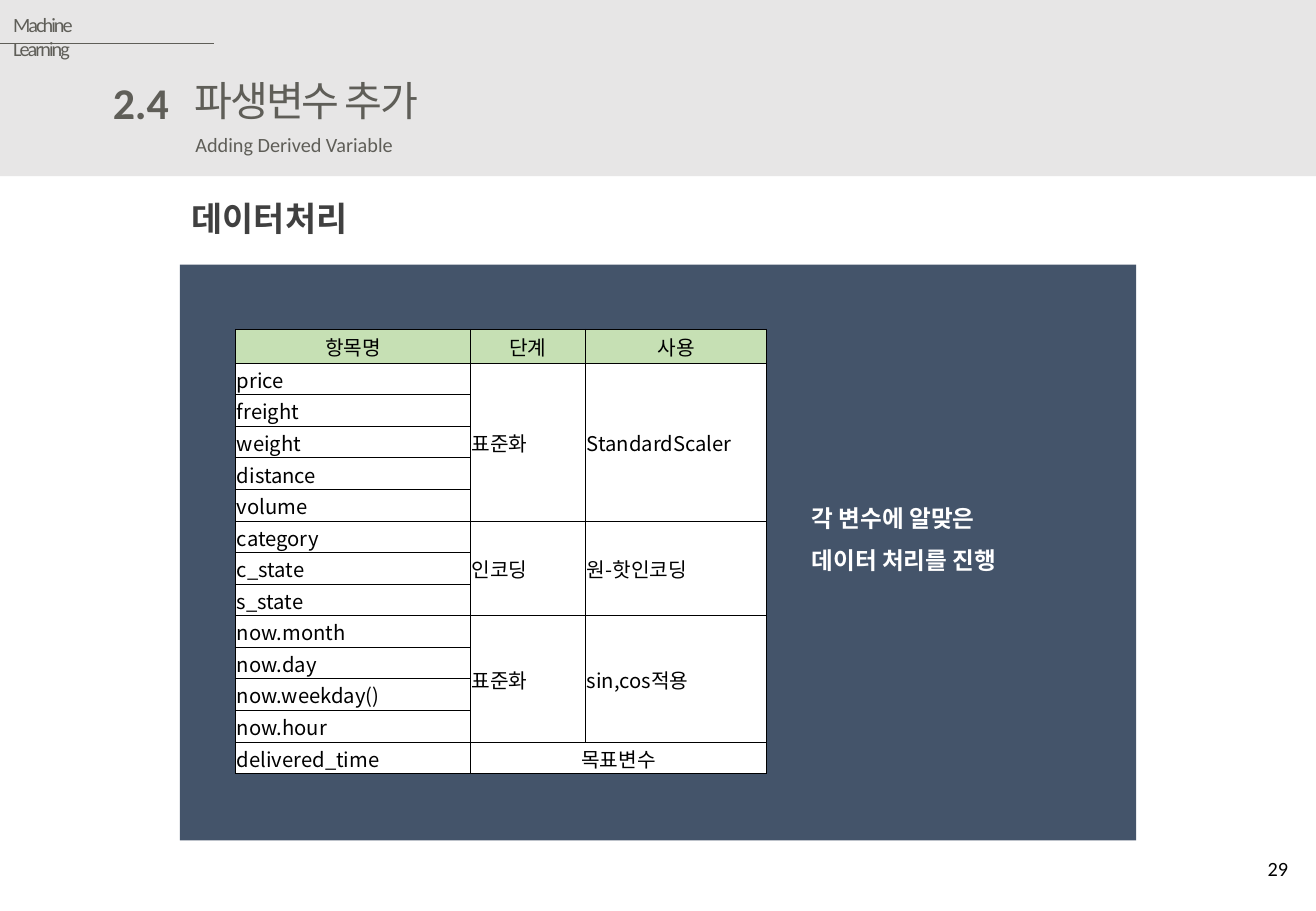
from dataclasses import dataclass

from lxml import etree
from pptx import Presentation
from pptx.dml.color import RGBColor
from pptx.enum.shapes import MSO_CONNECTOR, MSO_SHAPE
from pptx.enum.text import MSO_ANCHOR, MSO_AUTO_SIZE, PP_ALIGN
from pptx.oxml.ns import qn
from pptx.util import Pt

LEFT, CENTER, RIGHT = PP_ALIGN.LEFT, PP_ALIGN.CENTER, PP_ALIGN.RIGHT
TOP, MIDDLE = MSO_ANCHOR.TOP, MSO_ANCHOR.MIDDLE
FIT = MSO_AUTO_SIZE.SHAPE_TO_FIT_TEXT
RECT, LINE = MSO_SHAPE.RECTANGLE, MSO_CONNECTOR.STRAIGHT
SCALE = 9144  # EMU per px, 100 px to the inch


@dataclass(frozen=True)
class Theme:
    band: str = "E7E6E6"
    panel: str = "44546A"
    muted: str = "5F5E58"
    dark: str = "404040"
    black: str = "000000"
    white: str = "FFFFFF"
    green: str = "C6E0B4"
    latin: str = "Calibri"
    title: str = "Arial"
    korean: str = "Noto Sans CJK KR"
    small: float = 12
    note: float = 14
    head: float = 20
    big: float = 24.4
    number: float = 26
    thin: float = 0.5


THEME = Theme()

HEADS = ["항목명", "단계", "사용"]
GROUPS = [
    (["price", "freight", "weight", "distance", "volume"], "표준화", "StandardScaler"),
    (["category", "c_state", "s_state"], "인코딩", "원-핫인코딩"),
    (["now.month", "now.day", "now.weekday()", "now.hour"], "표준화", "sin,cos적용"),
]
TARGET = ("delivered_time", "목표변수")
WIDTHS = [193, 95, 149]
HEAD_ROW, ROW = 28, 26


def px(*values):
    return [round(v * SCALE) for v in values]


def rgb(code):
    return RGBColor.from_string(code)


def write(frame, text, size=THEME.small, font=THEME.latin, color=THEME.black,
          bold=False, align=LEFT, track=None, leading=None):
    """Fill a text frame, one paragraph to each line of the text."""
    for i, line in enumerate(text.split("\n")):
        para = frame.add_paragraph() if i else frame.paragraphs[0]
        para.alignment = align
        para.line_spacing = leading
        run = para.add_run()
        run.text = line
        run.font.size = Pt(size)
        run.font.name = font
        run.font.bold = bold
        run.font.color.rgb = rgb(color)
        props = run.font._element
        etree.SubElement(props, qn("a:ea"), typeface=THEME.korean)
        if track is not None:
            props.set("spc", str(round(track * 100)))


def place(shape, text, box, wrap=True, anchor=TOP, **style):
    shape.left, shape.top, shape.width, shape.height = px(*box)
    frame = shape.text_frame
    frame.word_wrap = wrap
    frame.vertical_anchor = anchor
    if not wrap:
        frame.auto_size = FIT
    write(frame, text, **style)


def label(slide, text, box, **style):
    place(slide.shapes.add_textbox(*px(*box)), text, box, **style)


def block(slide, box, color):
    shape = slide.shapes.add_shape(RECT, *px(*box))
    shape.shadow.inherit = False
    shape.fill.solid()
    shape.fill.fore_color.rgb = rgb(color)
    shape.line.fill.background()
    return shape


def rule(slide, ends, color):
    line = slide.shapes.add_connector(LINE, *px(*ends))
    line.line.color.rgb = rgb(color)
    line.line.width = Pt(THEME.thin)
    etree.SubElement(line._element.spPr, qn("a:effectLst"))


def border(cell):
    props = cell._tc.get_or_add_tcPr()
    for side in ("lnL", "lnR", "lnT", "lnB"):
        edge = etree.SubElement(props, qn(f"a:{side}"), w=str(Pt(THEME.thin)))
        fill = etree.SubElement(edge, qn("a:solidFill"))
        etree.SubElement(fill, qn("a:srgbClr"), val=THEME.black)


def style_cell(cell, color):
    border(cell)
    cell.fill.solid()
    cell.fill.fore_color.rgb = rgb(color)
    cell.vertical_anchor = MIDDLE
    cell.margin_left, cell.margin_right, cell.margin_top, cell.margin_bottom = px(1, 1, 1, 0)


def fill_table(slide, left, top):
    count = 2 + sum(len(names) for names, _, _ in GROUPS)
    high = HEAD_ROW + ROW * (count - 1)
    table = slide.shapes.add_table(
        count, len(WIDTHS), *px(left, top, sum(WIDTHS), high)).table
    table.first_row = table.horz_banding = False
    for col, width in zip(table.columns, WIDTHS):
        col.width = px(width)[0]
    for i, row in enumerate(table.rows):
        row.height = px(ROW if i else HEAD_ROW)[0]
        for cell in row.cells:
            style_cell(cell, THEME.white if i else THEME.green)

    def put(row, col, text, align=LEFT):
        write(table.cell(row, col).text_frame, text, font=THEME.korean, align=align)

    for col, text in enumerate(HEADS):
        put(0, col, text, CENTER)
    start = 1
    for names, *steps in GROUPS:
        for i, name in enumerate(names):
            put(start + i, 0, name)
        end = start + len(names)
        for col, text in enumerate(steps, 1):
            table.cell(start, col).merge(table.cell(end - 1, col))
            put(start, col, text)
        start = end
    name, role = TARGET
    table.cell(start, 1).merge(table.cell(start, 2))
    put(start, 0, name)
    put(start, 1, role, CENTER)


def add_header(slide):
    title = slide.shapes.title
    band = block(slide, (0, -1, 1083, 146), THEME.band)
    title._element.addprevious(band._element)
    rule(slide, (-1, 36, 176, 36), THEME.muted)
    label(slide, "Machine Learning", (1, 5, 115, 30), wrap=False,
          color=THEME.muted, track=-1.2)
    label(slide, "2.4", (82, 57, 67, 54), wrap=False, size=THEME.number,
          color=THEME.muted, bold=True, align=RIGHT)
    place(title, "파생변수 추가", (150, 57, 225, 51), wrap=False, size=THEME.big,
          font=THEME.title, color=THEME.muted, track=-1.2)
    label(slide, "Adding Derived Variable", (151, 104, 184, 30), wrap=False,
          color=THEME.muted)


def add_body(slide):
    block(slide, (148, 218, 787, 474), THEME.panel)
    label(slide, "데이터처리", (148, 155, 313, 49), anchor=MIDDLE, size=THEME.head,
          font=THEME.korean, color=THEME.dark, bold=True)
    fill_table(slide, 194, 271)
    label(slide, "각 변수에 알맞은\n데이터 처리를 진행", (658, 367, 250, 142),
          anchor=MIDDLE, size=THEME.note, font=THEME.korean, color=THEME.white,
          bold=True, leading=1.5)
    label(slide, "29", (826, 695, 244, 40), anchor=MIDDLE, align=RIGHT)


def main():
    deck = Presentation()
    deck.slide_width, deck.slide_height = px(1083, 750)
    slide = deck.slides.add_slide(deck.slide_layouts[5])
    add_header(slide)
    add_body(slide)
    deck.save("out.pptx")


if __name__ == "__main__":
    main()
